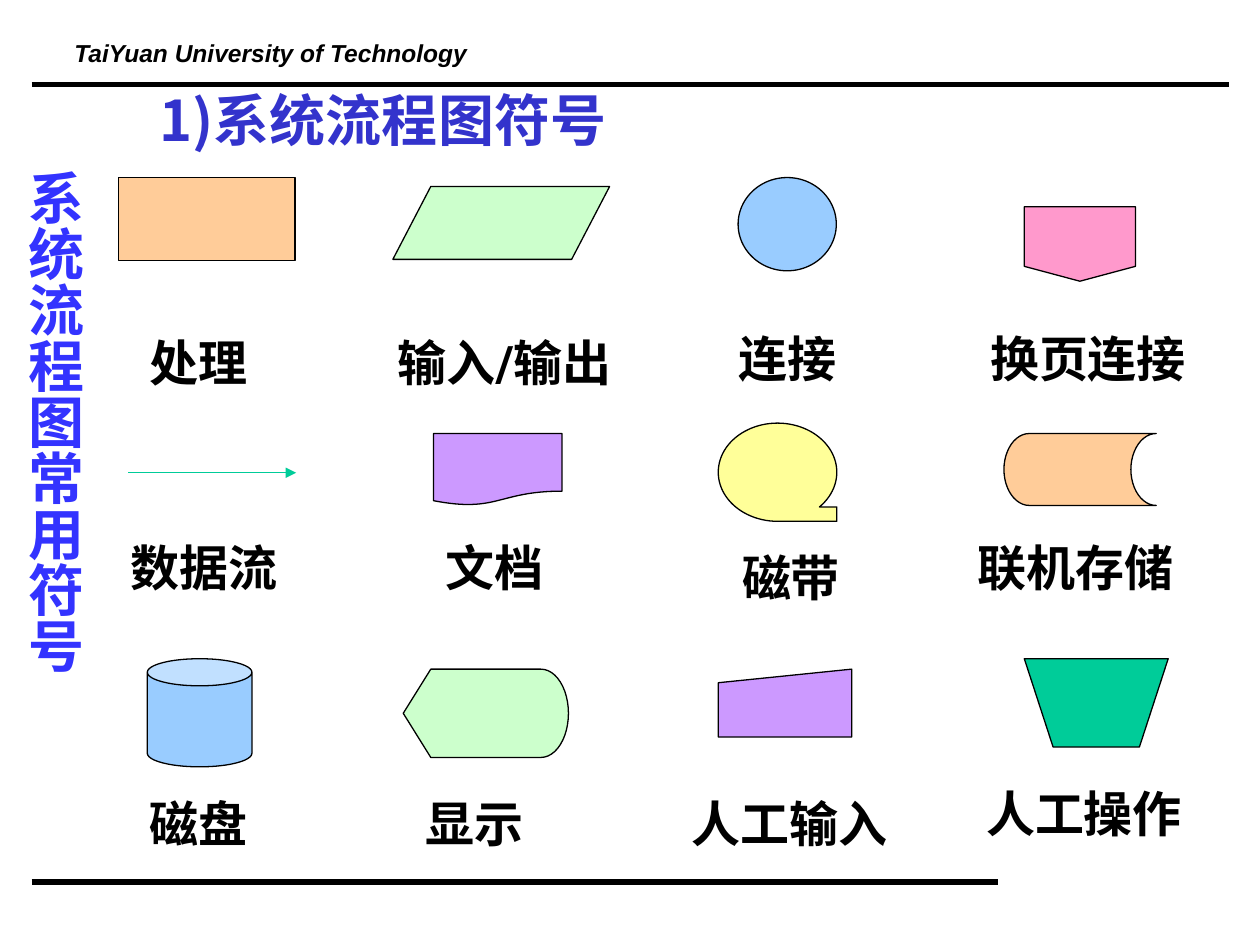
from dataclasses import dataclass

from lxml import etree
from pptx import Presentation
from pptx.dml.color import RGBColor
from pptx.enum import shapes, text
from pptx.oxml.ns import qn
from pptx.util import Cm, Pt

SHAPE = shapes.MSO_SHAPE


@dataclass(frozen=True)
class Theme:
    """Colours, fonts and type sizes of the slide."""
    black: str = "000000"
    title: str = "3333CC"
    side: str = "3333FF"
    orange: str = "FFCC99"
    mint: str = "CCFFCC"
    sky: str = "99CCFF"
    pink: str = "FF99CC"
    violet: str = "CC99FF"
    yellow: str = "FFFF99"
    green: str = "00CC99"
    header_font: str = "Arial"
    title_font: str = "Noto Sans CJK SC"
    label_font: str = "Roboto"
    header_size: int = 14
    label_size: int = 28
    title_size: int = 32
    outline: float = 0.75
    rule: float = 3


T = Theme()

COLUMN_LEFT, COLUMN_PITCH = 2.3, 5.7
ROW_TOP, ROW_PITCH = 3.5, 4.85

# Each cell: preset, adjustment, fill, symbol box, label, label box (left, top, width)
CELLS = [
    [(SHAPE.RECTANGLE, None, T.orange, (0.09, 0.08, 3.56, 1.68), "处理", (0.47, 3.08, 2.55)),
     (SHAPE.PARALLELOGRAM, 0.521, T.mint, (-0.08, 0.26, 4.37, 1.47), "输入/输出", (-0.23, 3.08, 5.4)),
     (SHAPE.OVAL, None, T.sky, (1.18, 0.08, 1.98, 1.88), "连接", (0.93, 3, 2.97)),
     (SHAPE.FLOWCHART_OFFPAGE_CONNECTOR, None, T.pink, (1.25, 0.67, 2.24, 1.5), "换页连接", (0.31, 3, 4.55))],
    [(None, None, T.green, (0.29, 1.18, 3.38, 0), "数据流", (0.09, 2.37, 3.55)),
     (SHAPE.FLOWCHART_DOCUMENT, None, T.violet, (0.74, 0.39, 2.59, 1.45), "文档", (0.74, 2.37, 2.74)),
     (SHAPE.FLOWCHART_SEQUENTIAL_ACCESS_STORAGE, None, T.yellow, (0.78, 0.18, 2.39, 1.98), "磁带", (1.01, 2.57, 2.55)),
     (SHAPE.FLOWCHART_STORED_DATA, None, T.orange, (0.84, 0.39, 3.07, 1.45), "联机存储", (0.06, 2.37, 5.08))],
    [(SHAPE.CAN, 0.259, T.sky, (0.67, 0.08, 2.11, 2.18), "磁盘", (0.47, 2.68, 2.74)),
     (SHAPE.FLOWCHART_DISPLAY, None, T.mint, (0.13, 0.29, 3.33, 1.78), "显示", (0.33, 2.68, 2.97)),
     (SHAPE.FLOWCHART_MANUAL_INPUT, None, T.violet, (0.78, 0.29, 2.69, 1.37), "人工输入", (0, 2.68, 4.88)),
     (SHAPE.FLOWCHART_MANUAL_OPERATION, None, T.green, (1.25, 0.08, 2.9, 1.78), "人工操作", (0.23, 2.47, 4.88))],
]


def add_text(s, box, words, font, size, color, italic=False):
    """Add a bold, left-aligned one-paragraph text box and return it."""
    sp = s.shapes.add_textbox(*map(Cm, box))
    tf = sp.text_frame
    tf.word_wrap = True
    p = tf.paragraphs[0]
    p.text = words
    p.font.name, p.font.size = font, Pt(size)
    p.font.bold, p.font.italic = True, italic
    p.font.color.rgb = RGBColor.from_string(color)
    return sp


def add_line(s, start, end, color, width, arrow=False):
    """Add a straight line, with an arrowhead at its end if asked."""
    sp = s.shapes.add_connector(shapes.MSO_CONNECTOR.STRAIGHT, *map(Cm, start + end))
    sp.line.color.rgb = RGBColor.from_string(color)
    sp.line.width = Pt(width)
    if arrow:
        etree.SubElement(sp.line._get_or_add_ln(), qn("a:tailEnd"), type="triangle")
    etree.SubElement(sp._element.spPr, qn("a:effectLst"))


def add_symbol(s, preset, adjustment, fill, box):
    """Add one outlined flowchart symbol."""
    sp = s.shapes.add_shape(preset, *map(Cm, box))
    sp.shadow.inherit = False
    if adjustment is not None:
        sp.adjustments[0] = adjustment
    sp.fill.solid()
    sp.fill.fore_color.rgb = RGBColor.from_string(fill)
    sp.line.color.rgb = RGBColor.from_string(T.black)
    sp.line.width = Pt(T.outline)


def add_cell(s, left, top, cell):
    """Place a symbol and its label relative to the cell corner."""
    preset, adjustment, fill, (x, y, w, h), label, (lx, ly, lw) = cell
    x, y = left + x, top + y
    if preset is None:
        add_line(s, (x, y), (x + w, y + h), fill, T.outline, arrow=True)
    else:
        add_symbol(s, preset, adjustment, fill, (x, y, w, h))
    add_text(s, (left + lx, top + ly, lw, 1.45), label, T.label_font, T.label_size, T.black)


def add_symbol_grid(s, left, top):
    """Lay the cells out in even columns and rows."""
    for row, cells in enumerate(CELLS):
        for column, cell in enumerate(cells):
            add_cell(s, left + column * COLUMN_PITCH, top + row * ROW_PITCH, cell)


def add_frame(s, left, top, width, height):
    """Add the header name with the rules above and below the content."""
    add_line(s, (left, top + height), (left + 19.48, top + height), T.black, T.rule)
    add_line(s, (left, top), (left + width, top), T.black, T.rule)
    sp = add_text(s, (left + 0.61, top - 0.89, 8.6, 0.69), "TaiYuan University of Technology",
                  T.header_font, T.header_size, T.black, italic=True)
    sp.text_frame.paragraphs[0].line_spacing = 0.7


def add_side_title(s, box):
    """Add the vertical title on the left edge."""
    sp = add_text(s, box, "系统流程图常用符号", T.label_font, T.title_size, T.side)
    tf = sp.text_frame
    tf.margin_left = tf.margin_right = Cm(0.13)
    tf.margin_top = tf.margin_bottom = Cm(0.25)
    tf._txBody.bodyPr.set("vert", "eaVert")


def main():
    """Build the slide of system flowchart symbols."""
    prs = Presentation()
    prs.slide_width, prs.slide_height = Cm(25.4), Cm(19.05)
    s = prs.slides.add_slide(prs.slide_layouts[6])
    add_frame(s, 0.64, 1.7, 24.13, 16.08)
    add_symbol_grid(s, COLUMN_LEFT, ROW_TOP)
    add_side_title(s, (0.05, 3.18, 1.85, 12.27))
    add_text(s, (2.97, 1.6, 17.15, 1.63), "1)系统流程图符号", T.title_font, T.title_size, T.title)
    prs.save("out.pptx")


if __name__ == "__main__":
    main()
